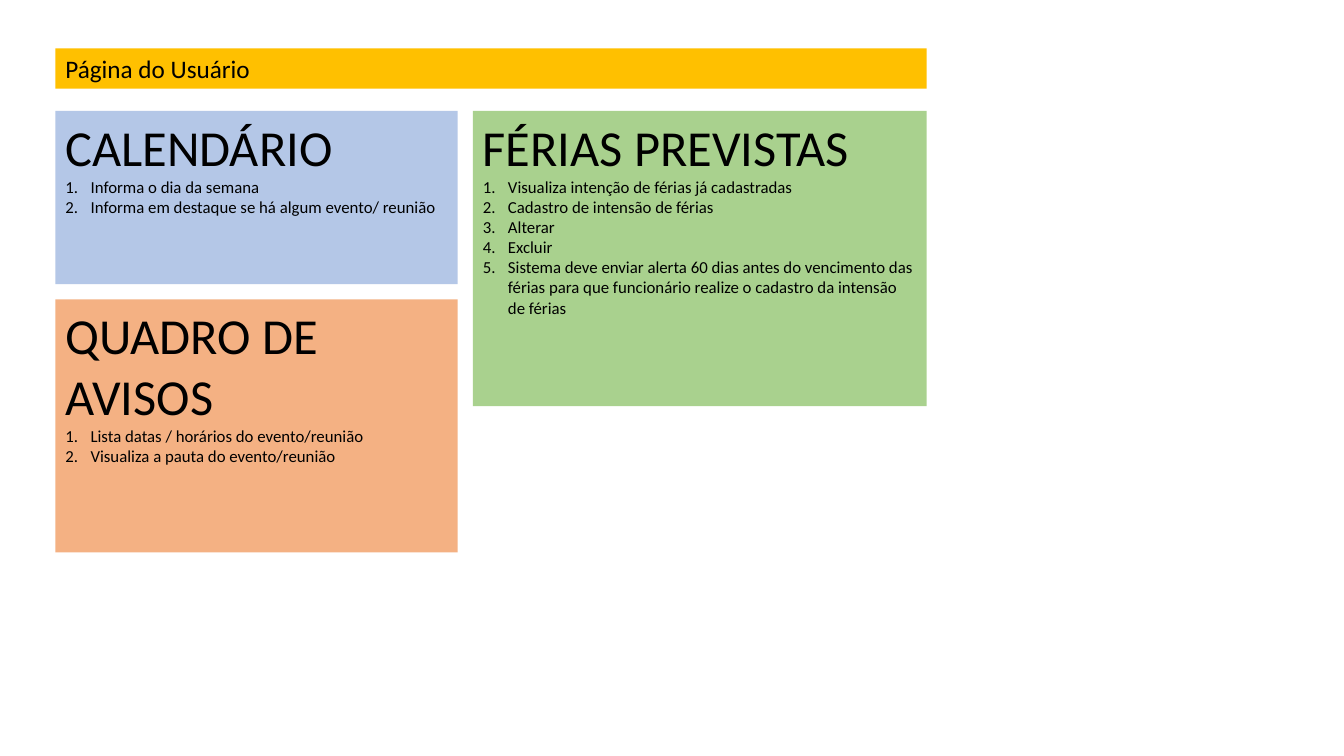
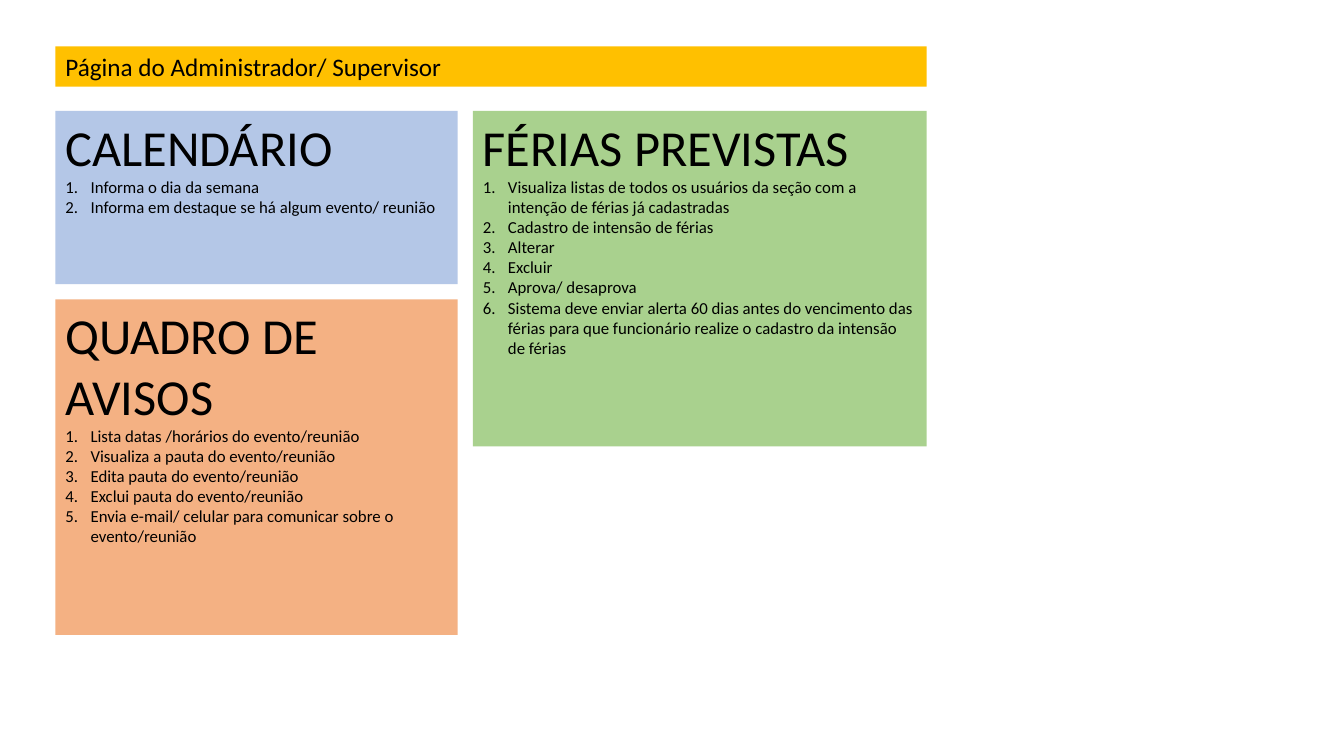
"""Builds two slides outlining the user page and the administrator page."""
from dataclasses import dataclass

from lxml.etree import SubElement
from pptx import Presentation
from pptx.dml.color import RGBColor
from pptx.enum.text import MSO_AUTO_SIZE as AutoSize, MSO_VERTICAL_ANCHOR as Anchor
from pptx.oxml.ns import qn
from pptx.presentation import Presentation as Deck
from pptx.slide import Slide
from pptx.util import Emu, Pt

EMU_PER_PX = 9144
SLIDE_WIDTH, SLIDE_HEIGHT = 1333, 750
FONT = "Calibri"
BAND_SIZE, HEADING_SIZE, ITEM_SIZE = 18, 36, 12
COLORS = {
    "band": "FFC000",
    "calendar": "B4C7E7",
    "notices": "F4B183",
    "vacations": "A9D18E",
    "text": "000000",
}

LEFT, TOP, GAP = 55, 110, 15
LEFT_WIDTH, RIGHT_WIDTH = 399, 450
RIGHT = LEFT + LEFT_WIDTH + GAP
BAND_WIDTH, BAND_HEIGHT = LEFT_WIDTH + GAP + RIGHT_WIDTH, 40
CALENDAR_HEIGHT = 172
NOTICES_TOP = TOP + CALENDAR_HEIGHT + GAP
INDENT = 25

CALENDAR_ITEMS = [
    "Informa o dia da semana",
    "Informa em destaque se há algum evento/ reunião",
]
AGENDA_VIEW = "Visualiza a pauta do evento/reunião"
VACATION_ACTIONS = ["Cadastro de intensão de férias", "Alterar", "Excluir"]
VACATION_ALERT = (
    "Sistema deve enviar alerta 60 dias antes do vencimento das férias "
    "para que funcionário realize o cadastro da intensão de férias"
)


@dataclass(frozen=True)
class Panel:
    """A coloured box with a heading and an optional numbered list."""

    heading: str
    items: list[str]
    color: str
    left: int
    top: int
    width: int
    height: int
    heading_size: int = HEADING_SIZE


@dataclass(frozen=True)
class Page:
    """The content that differs from one slide to the other."""

    title: str
    band_top: int
    notices: list[str]
    notices_height: int
    vacations: list[str]
    vacations_height: int

    def panels(self) -> list[Panel]:
        """Return the title band and the three panels of the page."""
        return [
            Panel(self.title, [], "band", LEFT, self.band_top,
                  BAND_WIDTH, BAND_HEIGHT, BAND_SIZE),
            Panel("CALENDÁRIO", CALENDAR_ITEMS, "calendar", LEFT, TOP,
                  LEFT_WIDTH, CALENDAR_HEIGHT),
            Panel("QUADRO DE AVISOS", self.notices, "notices", LEFT, NOTICES_TOP,
                  LEFT_WIDTH, self.notices_height),
            Panel("FÉRIAS PREVISTAS", self.vacations, "vacations", RIGHT, TOP,
                  RIGHT_WIDTH, self.vacations_height),
        ]


PAGES = [
    Page(
        title="Página do Usuário",
        band_top=48,
        notices=["Lista datas / horários do evento/reunião", AGENDA_VIEW],
        notices_height=251,
        vacations=[
            "Visualiza intenção de férias já cadastradas",
            *VACATION_ACTIONS,
            VACATION_ALERT,
        ],
        vacations_height=293,
    ),
    Page(
        title="Página do Administrador/ Supervisor",
        band_top=46,
        notices=[
            "Lista datas /horários do evento/reunião",
            AGENDA_VIEW,
            "Edita pauta do evento/reunião",
            "Exclui pauta do evento/reunião",
            "Envia e-mail/ celular para comunicar sobre o evento/reunião",
        ],
        notices_height=333,
        vacations=[
            "Visualiza listas de todos os usuários da seção com a "
            "intenção de férias já cadastradas",
            *VACATION_ACTIONS,
            "Aprova/ desaprova",
            VACATION_ALERT,
        ],
        vacations_height=333,
    ),
]


def px(length: int) -> Emu:
    """Turn pixels into EMU."""
    return Emu(length * EMU_PER_PX)


def style_text(para, size: int) -> None:
    """Apply the shared font to every run of a paragraph."""
    for span in para.runs:
        span.font.name = FONT
        span.font.size = Pt(size)
        span.font.color.rgb = RGBColor.from_string(COLORS["text"])


def number_paragraph(para) -> None:
    """Give a paragraph automatic numbering with a hanging indent."""
    properties = para._p.get_or_add_pPr()
    properties.set("marL", str(px(INDENT)))
    properties.set("indent", str(px(-INDENT)))
    SubElement(properties, qn("a:buFont"), typeface="+mj-lt")
    SubElement(properties, qn("a:buAutoNum"), type="arabicPeriod")


def draw_panel(slide: Slide, panel: Panel) -> None:
    """Draw one filled box with its heading and numbered items."""
    box = slide.shapes.add_textbox(
        px(panel.left), px(panel.top), px(panel.width), px(panel.height)
    )
    box.fill.solid()
    box.fill.fore_color.rgb = RGBColor.from_string(COLORS[panel.color])
    frame = box.text_frame
    frame.word_wrap = True
    frame.auto_size = AutoSize.NONE
    frame.vertical_anchor = Anchor.TOP
    frame.text = panel.heading
    style_text(frame.paragraphs[0], panel.heading_size)
    for item in panel.items:
        para = frame.add_paragraph()
        para.text = item
        number_paragraph(para)
        style_text(para, ITEM_SIZE)


def draw_page(deck: Deck, page: Page) -> None:
    """Add one slide and draw its panels."""
    slide = deck.slides.add_slide(deck.slide_layouts[6])
    for panel in page.panels():
        draw_panel(slide, panel)


def main() -> None:
    """Build and save the deck."""
    deck = Presentation()
    deck.slide_width, deck.slide_height = px(SLIDE_WIDTH), px(SLIDE_HEIGHT)
    for page in PAGES:
        draw_page(deck, page)
    deck.save("out.pptx")


if __name__ == "__main__":
    main()
